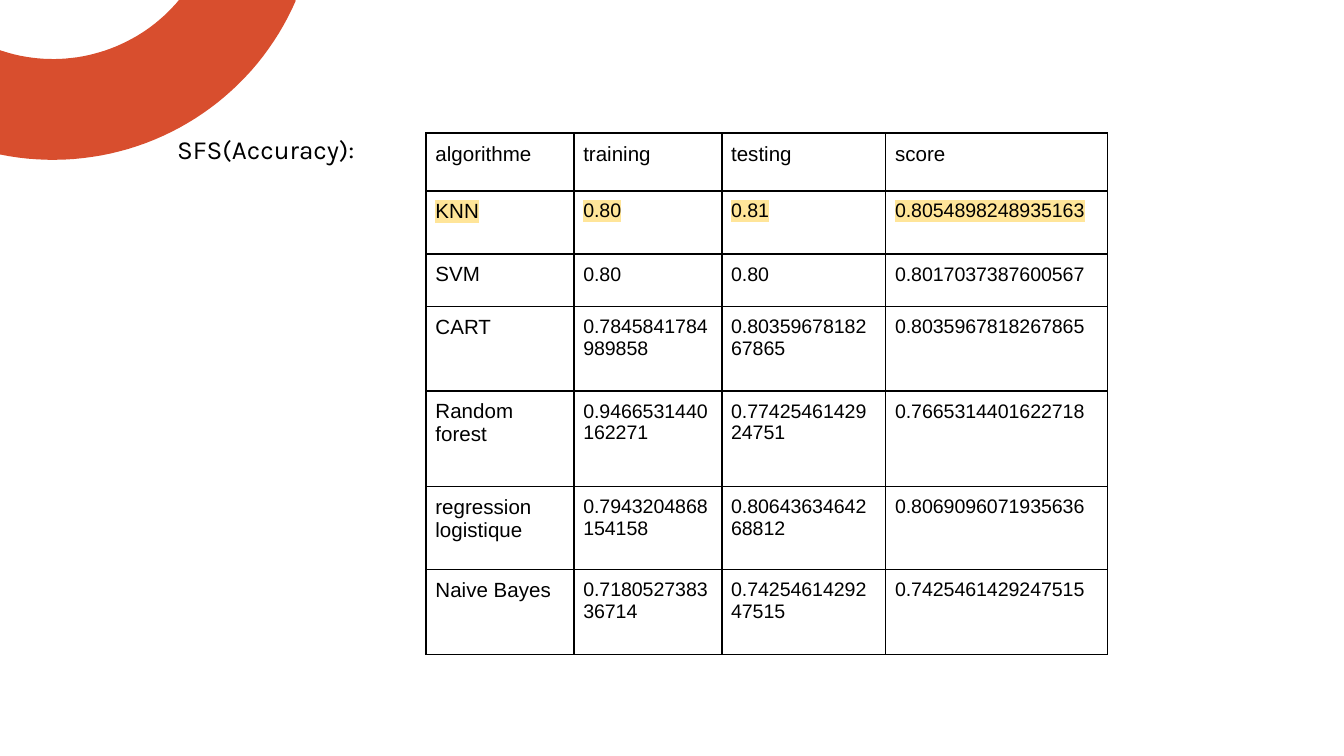
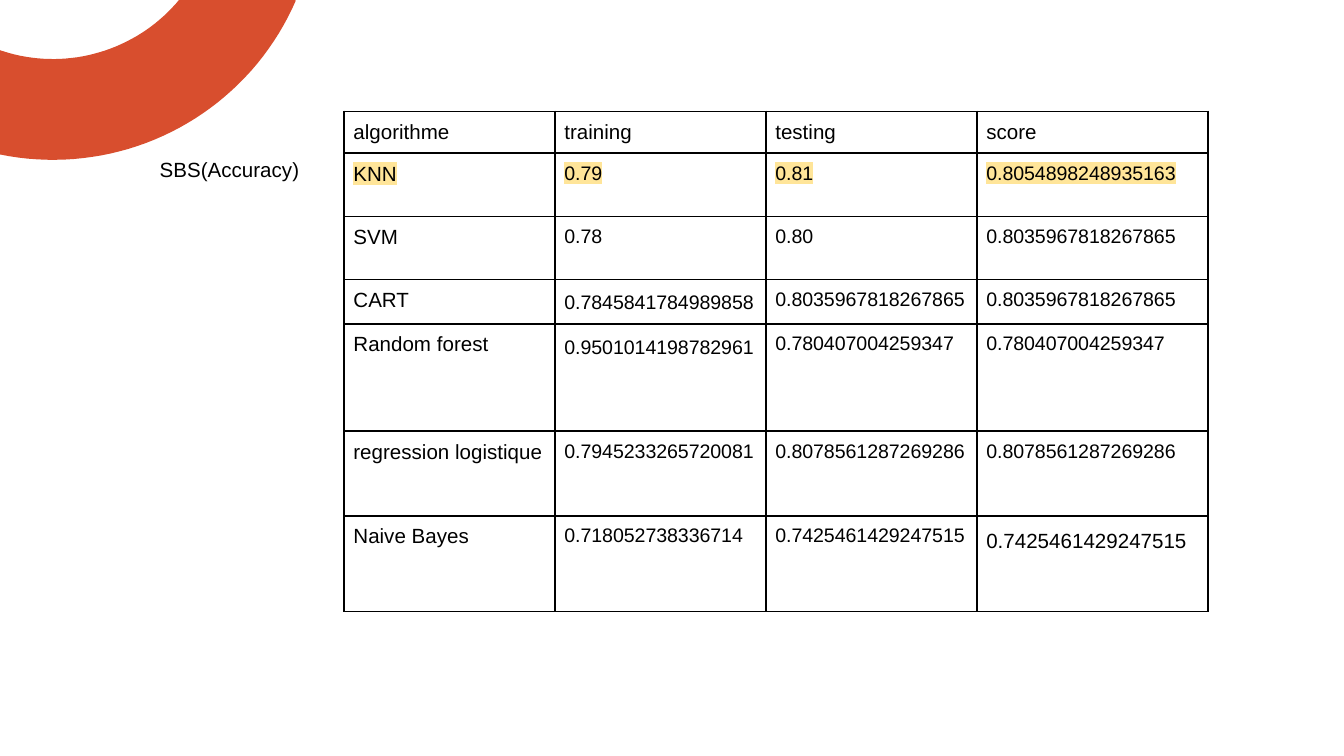
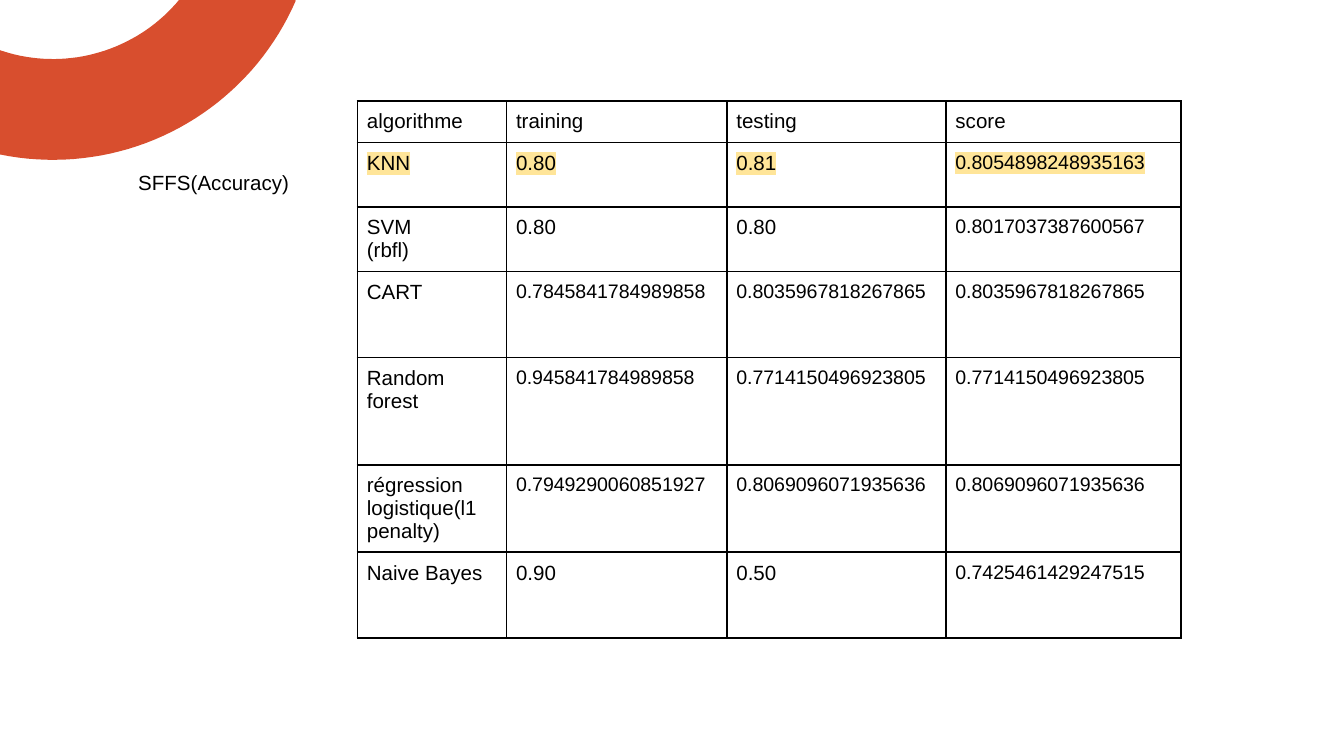
"""Build three slides of accuracy tables for feature selection methods."""
from itertools import product
from math import cos, radians, sin

from lxml.etree import SubElement
from pptx import Presentation
from pptx.dml.color import RGBColor
from pptx.enum.text import MSO_ANCHOR as Anchor, MSO_AUTO_SIZE as AutoSize
from pptx.oxml import parse_xml
from pptx.oxml.ns import nsdecls, qn
from pptx.util import Inches, Pt

BLACK = RGBColor(0x00, 0x00, 0x00)
WHITE = RGBColor(0xFF, 0xFF, 0xFF)
ORANGE = RGBColor(0xD8, 0x4E, 0x2E)
YELLOW = RGBColor(0xFF, 0xE5, 0x99)

HEADER = ("algorithme", "training", "testing", "score")
BEST_ROW = 1
TEXT_SIZE, NUMBER_SIZE = 11, 10.5

SLIDES = [
    {
        "label": "SFS(Accuracy):",
        "label_box": (1.22, 0.89, 1.53, 0.45),
        "label_format": {"size": 14, "font": "Karla"},
        "anchor": Anchor.TOP,
        "corner": (3.17, 0.99),
        "widths": (1.1, 1.1, 1.22, 1.65),
        "heights": (0.43, 0.47, 0.39, 0.63, 0.71, 0.62, 0.63),
        "rows": [
            ("KNN", "0.80", "0.81", "0.8054898248935163"),
            ("SVM", "0.80", "0.80", "0.8017037387600567"),
            ("CART", "0.7845841784989858", "0.8035967818267865", "0.8035967818267865"),
            ("Random forest", "0.9466531440162271", "0.7742546142924751", "0.7665314401622718"),
            ("regression logistique", "0.7943204868154158", "0.8064363464268812", "0.8069096071935636"),
            ("Naive Bayes", "0.718052738336714", "0.7425461429247515", "0.7425461429247515"),
        ],
        "cell_formats": {},
    },
    {
        "label": "SBS(Accuracy)",
        "label_box": (1.09, 0.83, 1.56, 0.83),
        "label_format": {"spacing": 1.15},
        "anchor": Anchor.MIDDLE,
        "corner": (2.56, 0.83),
        "widths": (1.57, 1.57, 1.57, 1.72),
        "heights": (0.31, 0.47, 0.47, 0.33, 0.8, 0.63, 0.71),
        "rows": [
            ("KNN", "0.79", "0.81", "0.8054898248935163"),
            ("SVM", "0.78", "0.80", "0.8035967818267865"),
            ("CART", "0.7845841784989858", "0.8035967818267865", "0.8035967818267865"),
            ("Random forest", "0.9501014198782961", "0.780407004259347", "0.780407004259347"),
            ("regression logistique", "0.7945233265720081", "0.8078561287269286", "0.8078561287269286"),
            ("Naive Bayes", "0.718052738336714", "0.7425461429247515", "0.7425461429247515"),
        ],
        "cell_formats": {
            (3, 1): {"spacing": 1.15},
            (4, 1): {"spacing": 1.15},
            (6, 3): {"size": TEXT_SIZE, "spacing": 1.21},
        },
    },
    {
        "label": "SFFS(Accuracy)",
        "label_box": (0.93, 0.86, 1.73, 0.96),
        "label_format": {"spacing": 1.15},
        "anchor": Anchor.MIDDLE,
        "corner": (2.66, 0.75),
        "widths": (1.11, 1.64, 1.63, 1.75),
        "heights": (0.31, 0.48, 0.48, 0.64, 0.8, 0.65, 0.64),
        "rows": [
            ("KNN", "0.80", "0.81", "0.8054898248935163"),
            ("SVM\n(rbfl)", "0.80", "0.80", "0.8017037387600567"),
            ("CART", "0.7845841784989858", "0.8035967818267865", "0.8035967818267865"),
            ("Random forest", "0.945841784989858", "0.7714150496923805", "0.7714150496923805"),
            ("régression logistique(l1 penalty)", "0.7949290060851927", "0.8069096071935636", "0.8069096071935636"),
            ("Naive Bayes", "0.90", "0.50", "0.7425461429247515"),
        ],
        "cell_formats": {pos: {"size": TEXT_SIZE} for pos in product((1, 2, 6), (1, 2))},
    },
]


def write(tf, text, size=TEXT_SIZE, font="Arial", highlight=None, spacing=1.0):
    tf.auto_size = AutoSize.NONE
    for i, line in enumerate(text.split("\n")):
        p = tf.add_paragraph() if i else tf.paragraphs[0]
        p.line_spacing = spacing
        p.space_before = p.space_after = Pt(0)
        r = p.add_run()
        r.text = line
        r.font.size = Pt(size)
        r.font.bold = False
        r.font.color.rgb = BLACK
        if highlight:
            mark = parse_xml(f'<a:highlight {nsdecls("a")}><a:srgbClr val="{highlight}"/></a:highlight>')
            r.font._element.find(qn("a:solidFill")).addnext(mark)
        r.font.name = font


def add_ring(slide, layout):
    cx, cy, outer, inner = 1.89, 1.5, 1.97, 1.22
    angles = range(180, 271, 2)
    arcs = [(outer, a) for a in angles] + [(inner, a) for a in reversed(angles)]
    points = [(Inches(cx + r * cos(radians(a))), Inches(cy + r * sin(radians(a)))) for r, a in arcs]
    builder = slide.shapes.build_freeform(*points[0])
    builder.add_line_segments(points[1:], close=True)
    ring = builder.convert_to_shape()
    ring.rotation = 203.5
    ring.fill.solid()
    ring.fill.fore_color.rgb = ORANGE
    ring.line.fill.background()
    ring.shadow.inherit = False
    layout.shapes.element.append(ring.element)


def set_borders(cell):
    tc_pr = cell._tc.get_or_add_tcPr()
    for side in ("a:lnL", "a:lnR", "a:lnT", "a:lnB"):
        ln = SubElement(tc_pr, qn(side), w=str(Pt(1)))
        fill = SubElement(ln, qn("a:solidFill"))
        SubElement(fill, qn("a:srgbClr"), val=str(BLACK))


def add_scores(slide, content):
    rows = [HEADER] + content["rows"]
    widths, heights = content["widths"], content["heights"]
    box = (*content["corner"], sum(widths), sum(heights))
    table = slide.shapes.add_table(len(rows), len(HEADER), *map(Inches, box)).table
    table.first_row = table.horz_banding = False
    for column, width in zip(table.columns, widths):
        column.width = Inches(width)
    for row, height in zip(table.rows, heights):
        row.height = Inches(height)
    for i, j in product(range(len(rows)), range(len(HEADER))):
        cell = table.cell(i, j)
        cell.margin_left = cell.margin_right = cell.margin_top = cell.margin_bottom = Inches(0.07)
        set_borders(cell)
        cell.fill.background()
        style = {"size": NUMBER_SIZE if i and j else TEXT_SIZE}
        style.update(content["cell_formats"].get((i, j), {}))
        if i == BEST_ROW:
            style["highlight"] = YELLOW
        elif style["size"] == NUMBER_SIZE:
            style["highlight"] = WHITE
        write(cell.text_frame, rows[i][j], **style)


def add_label(slide, content):
    tf = slide.shapes.add_textbox(*map(Inches, content["label_box"])).text_frame
    tf.word_wrap = True
    tf.vertical_anchor = content["anchor"]
    tf.margin_left = tf.margin_right = tf.margin_top = tf.margin_bottom = Inches(0.1)
    write(tf, content["label"], **content["label_format"])


def main():
    prs = Presentation()
    prs.slide_width = Inches(10)
    prs.slide_height = prs.slide_width * 9 // 16
    blank = prs.slide_layouts[6]
    for placeholder in list(blank.placeholders):
        blank.shapes.element.remove(placeholder.element)
    for i, content in enumerate(SLIDES):
        slide = prs.slides.add_slide(blank)
        if i == 0:
            add_ring(slide, blank)
        add_scores(slide, content)
        add_label(slide, content)
    prs.save("out.pptx")


if __name__ == "__main__":
    main()
